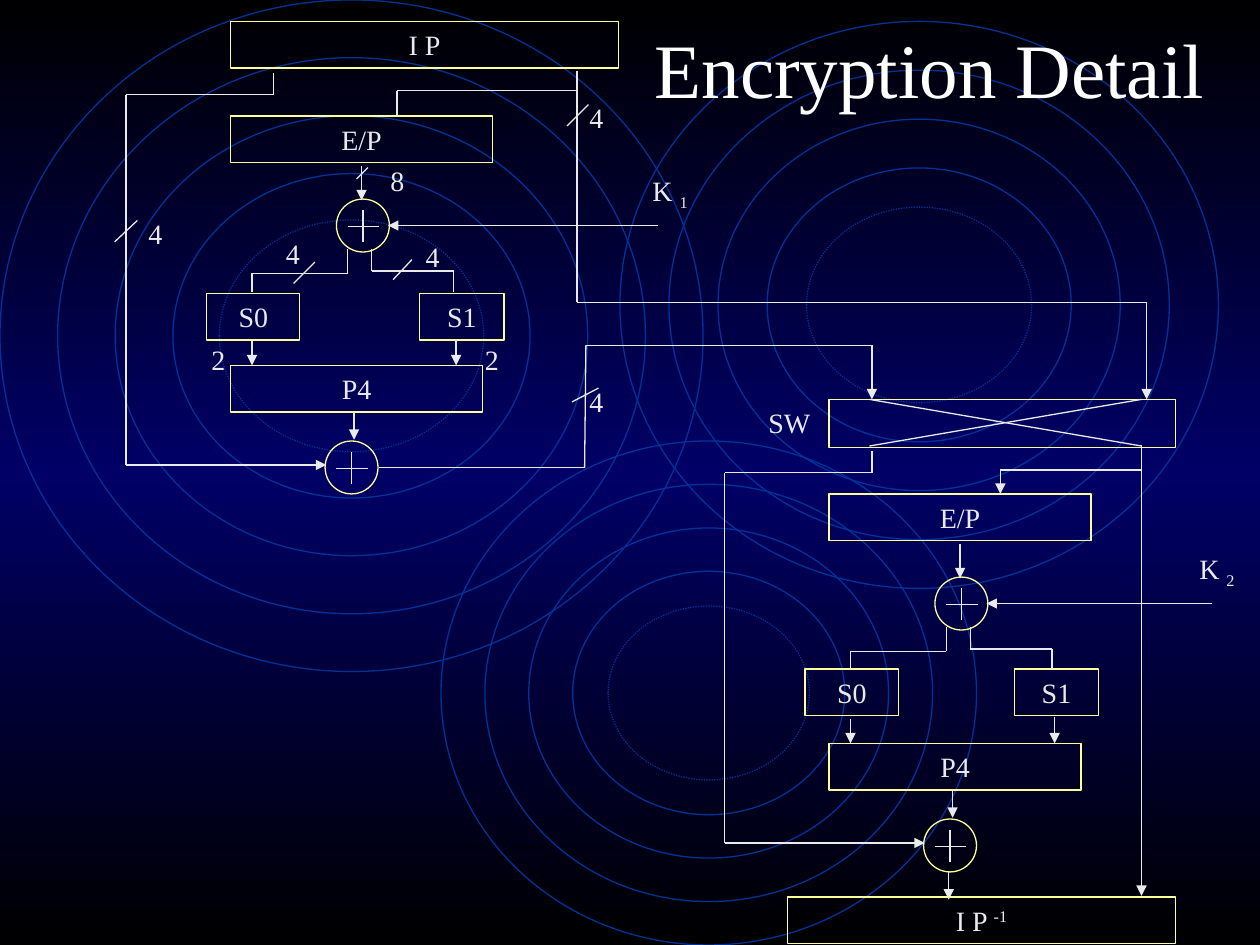
from copy import deepcopy
from dataclasses import dataclass
from itertools import pairwise

from lxml import etree
from pptx import Presentation
from pptx import util as u
from pptx.dml.color import RGBColor
from pptx.enum import dml, shapes, text
from pptx.oxml import ns


@dataclass(frozen=True)
class Theme:
    font: str = "Times New Roman"
    title: RGBColor = RGBColor(0xFF, 0xFF, 0xFF)
    ink: RGBColor = RGBColor(0xEA, 0xEA, 0xEA)
    border: RGBColor = RGBColor(0xFF, 0xFF, 0x99)
    ring: RGBColor = RGBColor(0x00, 0x33, 0x99)
    edge: RGBColor = RGBColor(0x00, 0x00, 0x00)
    glow: RGBColor = RGBColor(0x00, 0x00, 0x66)
    title_size: u.Pt = u.Pt(44)
    body_size: u.Pt = u.Pt(16)
    stroke: u.Pt = u.Pt(0.75)


THEME = Theme()
RING_SCALES = [(1, 1), (0.836, 0.828), (0.672, 0.655), (0.508, 0.483), (0.376, 0.345)]
SUPERSCRIPT, SUBSCRIPT = 30000, -25000


def paint_background(slide):
    fill = slide.background.fill
    fill.gradient()
    fill.gradient_angle = 270
    stops = slide.element.xpath(".//a:gsLst")[0]
    stops.insert(1, deepcopy(stops[0]))
    colors = (THEME.edge, THEME.glow, THEME.edge)
    for stop, position, color in zip(fill.gradient_stops, (0, 0.5, 1), colors):
        stop.position = position
        stop.color.rgb = color


def add_outline(slide, preset, left, top, width, height, color):
    outline = slide.shapes.add_shape(preset, *map(u.Inches, (left, top, width, height)))
    outline.shadow.inherit = False
    outline.fill.background()
    outline.line.color.rgb = color
    outline.line.width = THEME.stroke
    return outline


def add_rings(slide, left, top, width, height):
    for scale_x, scale_y in RING_SCALES:
        ring_width, ring_height = width * scale_x, height * scale_y
        ring = add_outline(slide, shapes.MSO_SHAPE.OVAL,
                           left + (width - ring_width) / 2, top + (height - ring_height) / 2,
                           ring_width, ring_height, THEME.ring)
    ring.line.dash_style = dml.MSO_LINE.ROUND_DOT


def write(frame, words, align, size=THEME.body_size, color=THEME.ink, script="", shift=0):
    frame.word_wrap = True
    paragraph = frame.paragraphs[0]
    paragraph.alignment = align
    paragraph.font.name = THEME.font
    paragraph.font.size = size
    paragraph.font.color.rgb = color
    paragraph.add_run().text = words
    if script:
        raised = paragraph.add_run()
        raised.text = script
        raised.font._element.set("baseline", str(shift))


def add_box(slide, words, left, top, width, height=0.37, **script):
    box = add_outline(slide, shapes.MSO_SHAPE.RECTANGLE, left, top, width, height, THEME.border)
    if words:
        box.text_frame.vertical_anchor = text.MSO_ANCHOR.TOP
        write(box.text_frame, words, text.PP_ALIGN.CENTER, **script)


def add_label(slide, words, left, top, width=0.33, height=0.37,
              align=text.PP_ALIGN.LEFT, **style):
    label = slide.shapes.add_textbox(*map(u.Inches, (left, top, width, height)))
    write(label.text_frame, words, align, **style)
    return label


def add_wire(slide, *points, arrow=False):
    for start, end in pairwise(points):
        wire = slide.shapes.add_connector(shapes.MSO_CONNECTOR.STRAIGHT,
                                          *map(u.Inches, (*start, *end)))
        wire.line.color.rgb = THEME.ink
        wire.line.width = THEME.stroke
        properties = wire.element.spPr
        etree.SubElement(properties, ns.qn("a:effectLst"))
    if arrow:
        etree.SubElement(properties.find(ns.qn("a:ln")), ns.qn("a:tailEnd"), type="triangle")


def add_xor(slide, left, top):
    add_outline(slide, shapes.MSO_SHAPE.OVAL, left, top, 0.42, 0.42, THEME.border)
    add_wire(slide, (left + 0.21, top + 0.09), (left + 0.21, top + 0.34))
    add_wire(slide, (left + 0.09, top + 0.22), (left + 0.34, top + 0.22))


def add_round(slide, dx, dy, s0, s1, key_x):
    def wire(*points, arrow=False):
        add_wire(slide, *((x + dx, y + dy) for x, y in points), arrow=arrow)

    add_box(slide, "E/P", 1.83 + dx, 0.92 + dy, 2.08)
    add_xor(slide, 2.67 + dx, 1.58 + dy)
    add_box(slide, "S0", *s0, 0.74)
    add_box(slide, "S1", *s1, 0.67)
    add_box(slide, "P4", 1.83 + dx, 2.9 + dy, 2)
    add_xor(slide, 2.58 + dx, 3.5 + dy)

    wire((2.87, 1.32), (2.87, 1.59), arrow=True)
    add_wire(slide, (key_x, 1.79 + dy), (3.08 + dx, 1.79 + dy), arrow=True)
    wire((2.76, 1.98), (2.76, 2.17), (2, 2.17), (2, 2.32))
    wire((2.95, 1.98), (2.95, 2.15), (3.6, 2.15), (3.6, 2.32))
    wire((2, 2.71), (2, 2.9), arrow=True)
    wire((3.62, 2.69), (3.62, 2.9), arrow=True)
    wire((2.81, 3.28), (2.81, 3.49), arrow=True)
    wire((2.17, 0.58), (2.17, 0.75), (1, 0.75), (1, 3.69), (2.59, 3.69), arrow=True)


def add_switch(slide):
    add_box(slide, "", 6.58, 3.17, 2.75, 0.38)
    add_wire(slide, (6.9, 3.17), (9.06, 3.54))
    add_wire(slide, (9.06, 3.17), (6.9, 3.54))
    add_label(slide, "SW", 6, 3.17, 0.67)


def add_half_paths(slide):
    add_wire(slide, (4.58, 0.56), (4.58, 2.4), (9.1, 2.4), (9.1, 3.17), arrow=True)
    add_wire(slide, (3.01, 3.71), (4.64, 3.71), (4.65, 2.74), (6.92, 2.74), (6.92, 3.17),
             arrow=True)
    add_wire(slide, (4.58, 0.72), (3.15, 0.72), (3.15, 0.92))
    add_wire(slide, (9.06, 3.73), (7.94, 3.73), (7.94, 3.92), arrow=True)
    add_wire(slide, (9.06, 3.53), (9.06, 7.11), arrow=True)
    add_wire(slide, (7.53, 6.92), (7.53, 7.14), arrow=True)


def add_bit_widths(slide):
    slashes = [
        ((4.67, 0.83), (4.5, 1)), ((1.09, 1.75), (0.91, 1.92)),
        ((2.92, 1.33), (2.83, 1.42)), ((2.5, 2.08), (2.33, 2.25)),
        ((3.27, 2.06), (3.12, 2.22)), ((4.75, 3.08), (4.54, 3.19)),
    ]
    for slash in slashes:
        add_wire(slide, *slash)
    bits = [
        ("4", 1.08, 1.67), ("4", 4.58, 0.75), ("8", 3, 1.25), ("4", 2.17, 1.83),
        ("4", 3.28, 1.85), ("2", 1.58, 2.67), ("2", 3.75, 2.67), ("4", 4.58, 3),
    ]
    for bit in bits:
        add_label(slide, *bit)


def main():
    deck = Presentation()
    deck.slide_width, deck.slide_height = u.Inches(10), u.Inches(7.5)
    slide = deck.slides.add_slide(deck.slide_layouts[6])
    paint_background(slide)
    for rings in [(0, 0, 5.58, 5.33), (3.5, 3.5, 4.25, 4), (4.92, 0.17, 4.75, 4.5)]:
        add_rings(slide, *rings)

    title = add_label(slide, "Encryption Detail", 4.83, 0.12, 4.83, 0.84,
                      text.PP_ALIGN.RIGHT, size=THEME.title_size, color=THEME.title)
    title.text_frame.vertical_anchor = text.MSO_ANCHOR.MIDDLE

    add_box(slide, "I P", 1.83, 0.17, 3.08)
    add_round(slide, 0, 0, s0=(1.64, 2.33), s1=(3.33, 2.33), key_x=5.22)
    add_switch(slide)
    add_round(slide, 4.75, 3, s0=(6.39, 5.31), s1=(8.05, 5.31), key_x=9.62)
    add_box(slide, "I P ", 6.25, 7.12, 3.08, script="-1", shift=SUPERSCRIPT)
    add_half_paths(slide)
    for number, left, top in [("1", 5.08, 1.33), ("2", 9.42, 4.33)]:
        add_label(slide, "K ", left, top, 0.58, 0.41, script=number, shift=SUBSCRIPT)
    add_bit_widths(slide)
    deck.save("out.pptx")


if __name__ == "__main__":
    main()
